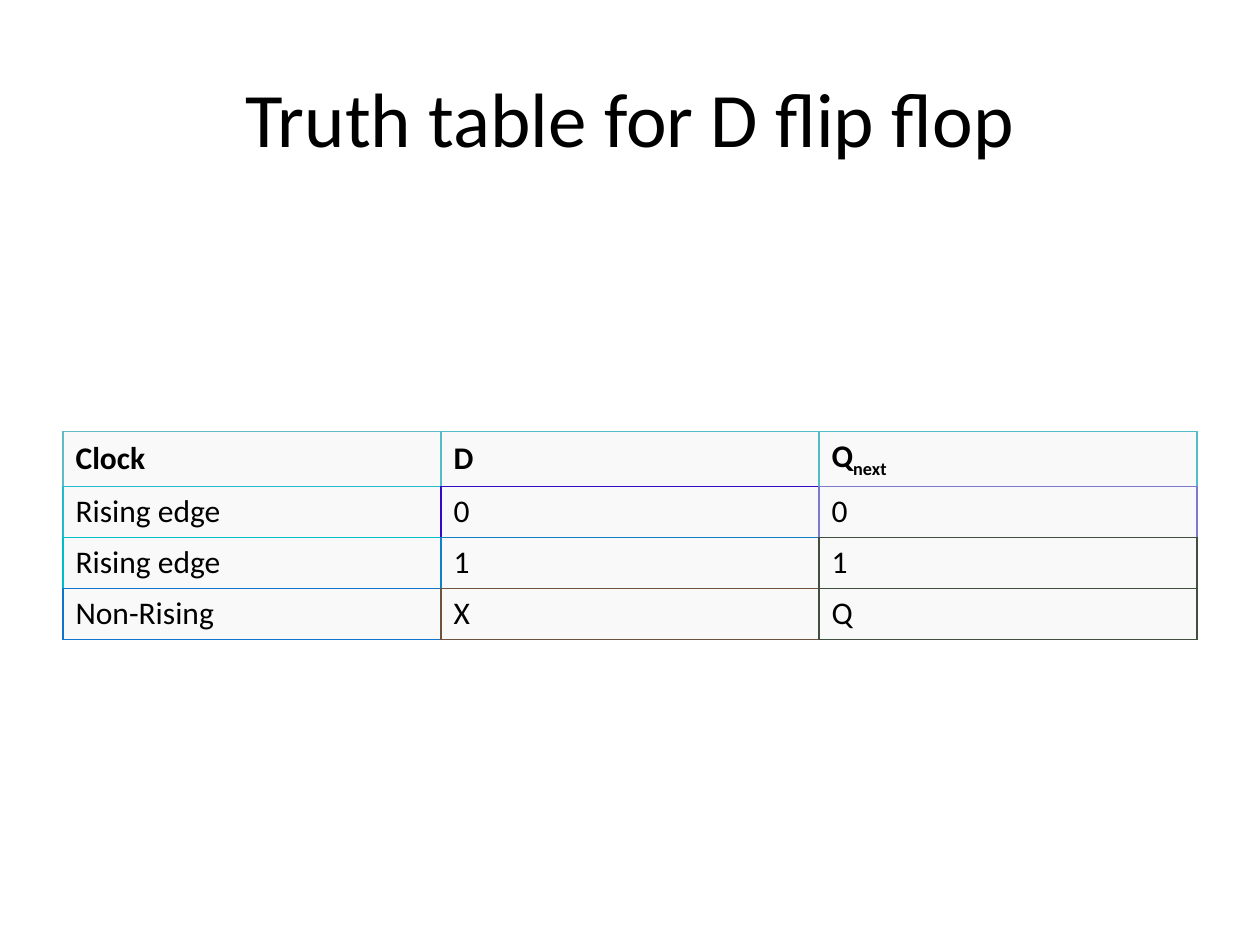
from lxml import etree
from pptx import Presentation
from pptx import util as u
from pptx.dml.color import RGBColor
from pptx.enum import text
from pptx.oxml.ns import qn


def color(value):
    return RGBColor.from_string(value)


def add_text(paragraph, content, size=18, bold=False, baseline=0):
    run = paragraph.add_run()
    run.text = content
    run.font.name = "Calibri"
    run.font.size = u.Pt(size)
    run.font.bold = bold
    run.font.color.rgb = color("000000")
    if baseline:
        run.font._element.set("baseline", str(baseline * 1000))


presentation = Presentation()
presentation.slide_width = u.Cm(25.4)
presentation.slide_height = u.Cm(19.05)
slide = presentation.slides.add_slide(presentation.slide_layouts[5])

# Title
title = slide.shapes.title
title.left, title.top = u.Cm(1.27), u.Cm(0.76)
title.width, title.height = u.Cm(22.86), u.Cm(3.18)
title.text_frame.vertical_anchor = text.MSO_ANCHOR.MIDDLE
heading = title.text_frame.paragraphs[0]
heading.alignment = text.PP_ALIGN.CENTER
add_text(heading, "Truth table for D flip flop", size=44)

# Truth table
rows = [
    ["Clock", "D", "Q"],
    ["Rising edge", "0", "0"],
    ["Rising edge", "1", "1"],
    ["Non-Rising", "X", "Q"],
]
row_heights = [1.11, 1.03, 1.03, 1.03]
border_colors = [
    ["60BBC8", "50BDC8", "50BDC8"],
    ["20BBC8", "3009C9", "8079C9"],
    ["00BEC8", "107EC9", "40503E"],
    ["1074C9", "70513E", "40503E"],
]
last_row, last_column = len(rows) - 1, len(rows[0]) - 1
table = slide.shapes.add_table(
    len(rows), len(rows[0]), u.Cm(1.27), u.Cm(8.69), u.Cm(22.86), u.Cm(sum(row_heights))
).table
table.horz_banding = False
for column in table.columns:
    column.width = u.Cm(7.62)

for i, labels in enumerate(rows):
    table.rows[i].height = u.Cm(row_heights[i])
    for j, label in enumerate(labels):
        cell = table.cell(i, j)
        cell.vertical_anchor = text.MSO_ANCHOR.MIDDLE
        cell.fill.solid()
        cell.fill.fore_color.rgb = color("F9F9F9")
        add_text(cell.text_frame.paragraphs[0], label, bold=i == 0)

        # Shared edges take the colour of the cell to the right or below
        own = border_colors[i][j]
        edges = {
            "a:lnL": own,
            "a:lnR": border_colors[i][min(j + 1, last_column)],
            "a:lnT": own,
            "a:lnB": border_colors[min(i + 1, last_row)][j],
        }
        properties = cell._tc.get_or_add_tcPr()
        for position, (edge, edge_color) in enumerate(edges.items()):
            line = etree.Element(qn(edge), w=str(u.Pt(0.75)))
            fill = etree.SubElement(line, qn("a:solidFill"))
            etree.SubElement(fill, qn("a:srgbClr"), val=edge_color)
            properties.insert(position, line)

# Subscript in the last heading
add_text(table.cell(0, 2).text_frame.paragraphs[0], "next", bold=True, baseline=-25)

presentation.save("out.pptx")
